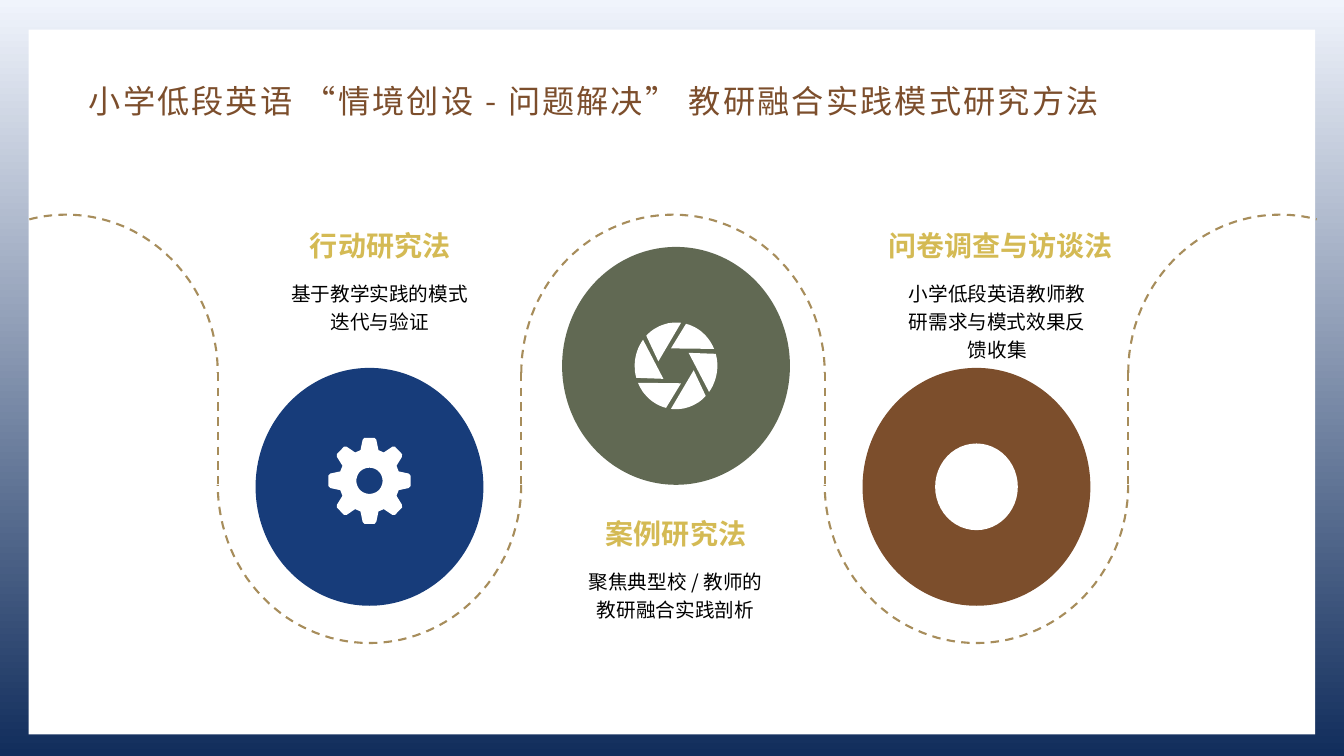
import math
import pptx
import pptx.util
import pptx.dml.color
import pptx.enum.dml
import pptx.enum.shapes
import pptx.enum.text
import pptx.oxml
import pptx.oxml.ns

inch = pptx.util.Inches
ink = pptx.dml.color.RGBColor.from_string
align = pptx.enum.text.PP_ALIGN
kinds = pptx.enum.shapes.MSO_SHAPE
face = "Noto Sans CJK SC"
wide, high = 13.33, 7.5
edge, col = 2.16, 3.01
upper, lower, rise = 3.7, 4.81, 1.57
brown, gold, white = "7C4E2C", "A78D5B", "FFFFFF"


def say(box, text, size, hue, bold=False, side=align.CENTER, lead=None, gap=None):
    frame = box.text_frame
    frame.word_wrap = True
    frame.auto_size = pptx.enum.text.MSO_AUTO_SIZE.NONE
    frame.vertical_anchor = pptx.enum.text.MSO_ANCHOR.TOP
    para = frame.paragraphs[0]
    para.alignment = side
    if lead:
        para.line_spacing = lead
    run = para.add_run()
    run.text = text
    run.font.size = pptx.util.Pt(size)
    run.font.bold = bold
    run.font.color.rgb = ink(hue)
    run.font.name = face
    props = run.font._element
    east = pptx.oxml.parse_xml(f'<a:ea {pptx.oxml.ns.nsdecls("a")} typeface="{face}"/>')
    props.append(east)
    if gap:
        props.set("spc", str(gap))


def turn(x, y, wing, tall, angle):
    rad = math.radians(angle)
    return x + wing * math.sin(rad), y - tall * math.cos(rad)


deck = pptx.Presentation()
deck.slide_width, deck.slide_height = inch(wide), inch(high)
slide = deck.slides.add_slide(deck.slide_layouts[5])
shapes = slide.shapes

back = slide.background.fill
back.gradient()
back.gradient_angle = 270
for stop, hue, spot in zip(back.gradient_stops, ("F0F4FC", "112D5C"), (0, 1)):
    stop.color.rgb = ink(hue)
    stop.position = spot

discs = [
    (0.5, 4.83, 2.26, 2.36, "173C7A"),
    (1.51, 3.63, 2.26, 2.36, "616953"),
    (2.5, 4.83, 2.26, 2.36, brown),
    (2.5, 4.83, 0.82, 0.86, white),
]
plates = [(kinds.RECTANGLE, wide / 2, high / 2 + 0.04, 12.76, 6.99, white)]
plates += [(kinds.OVAL, edge + c * col, y, w, h, hue) for c, y, w, h, hue in discs]
for kind, x, y, w, h, hue in plates:
    plate = shapes.add_shape(kind, inch(x - w / 2), inch(y - h / 2), inch(w), inch(h))
    plate.shadow.inherit = False
    plate.fill.solid()
    plate.fill.fore_color.rgb = ink(hue)
    plate.line.fill.background()

arcs = [
    (-0.5, upper, -14, 90),
    (0.5, lower, 90, 270),
    (1.5, upper, -90, 90),
    (2.5, lower, 90, 270),
    (3.5, upper, -90, 14),
]
paths = []
for c, y, start, end in arcs:
    curve = [turn(edge + c * col, y, col / 2, rise, start + (end - start) * n / 60) for n in range(61)]
    paths.append(([curve], False))

gear = (edge + 0.5 * col, 4.77)
tooth = [(-17, 0.74), (-10, 0.96), (-7, 1), (7, 1), (10, 0.96), (17, 0.74)]
rim = [turn(*gear, 0.41 * r, 0.43 * r, 45 * n + a) for n in range(8) for a, r in tooth]
hole = [turn(*gear, 0.13, 0.13, -10 * n) for n in range(36)]
paths.append(([rim, hole], True))

lens = (edge + 1.51 * col, 3.63)
blades = []
for n in range(6):
    blade = [turn(*lens, 0.41, 0.43, 7 - 60 * n - 53 * k / 12) for k in range(13)]
    blades.append(blade + [turn(*lens, 0.18, 0.18, -76 - 60 * n)])
paths.append((blades, True))

for parts, solid in paths:
    dots = [[(x * 1000, y * 1000) for x, y in part] for part in parts]
    pen = shapes.build_freeform(*dots[0][0], scale=914.4)
    pen.add_line_segments(dots[0][1:], close=solid)
    for part in dots[1:]:
        pen.move_to(*part[0])
        pen.add_line_segments(part[1:], close=solid)
    form = pen.convert_to_shape()
    form.shadow.inherit = False
    if solid:
        form.fill.solid()
        form.fill.fore_color.rgb = ink(white)
        form.line.fill.background()
    else:
        form.fill.background()
        form.line.color.rgb = ink(gold)
        form.line.width = pptx.util.Pt(1.5)
        form.line.dash_style = pptx.enum.dml.MSO_LINE.DASH

for n in range(4):
    x = inch(edge + n * col)
    post = shapes.add_connector(pptx.enum.shapes.MSO_CONNECTOR.STRAIGHT, x, inch(upper), x, inch(lower))
    post.line.color.rgb = ink(gold)
    post.line.width = pptx.util.Pt(1.5)
    post.line.dash_style = pptx.enum.dml.MSO_LINE.DASH
    flat = pptx.oxml.parse_xml(f'<a:effectLst {pptx.oxml.ns.nsdecls("a")}/>')
    post._element.spPr.append(flat)

title = shapes.title
title.left, title.top, title.width, title.height = map(inch, (0.78, 0.64, 0.8 * wide, 0.08 * high))
say(title, "小学低段英语 “情境创设 - 问题解决” 教研融合实践模式研究方法", 23, brown,
    side=align.LEFT, lead=1.3, gap=150)
shapes._spTree.append(title._element)

notes = [
    (0.535, 0.535, 2.22, "行动研究法", "基于教学实践的模式迭代与验证", 0.66),
    (1.51, 1.51, 5.08, "案例研究法", "聚焦典型校 / 教师的教研融合实践剖析", 0.66),
    (2.58, 2.57, 2.22, "问卷调查与访谈法", "小学低段英语教师教研需求与模式效果反馈收集", 0.95),
]
for head, body, top, name, text, tall in notes:
    box = shapes.add_textbox(inch(edge + head * col - 1.25), inch(top), inch(2.5), inch(0.44))
    say(box, name, 20, "D4BA54", bold=True)
    box = shapes.add_textbox(inch(edge + body * col - 1.03), inch(top + 0.48), inch(2.05), inch(tall))
    say(box, text, 14, "000000", lead=1.2)

deck.save("out.pptx")
